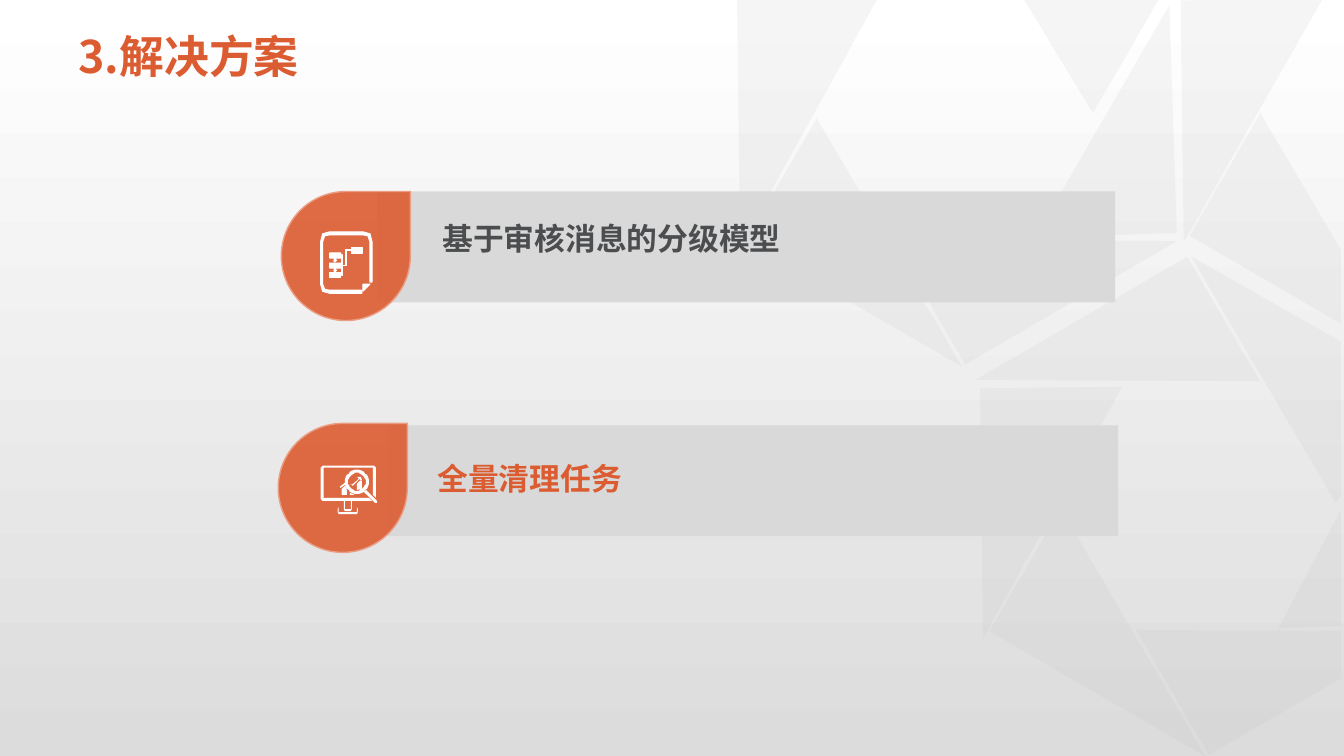
import math

from lxml import etree
from pptx import Presentation
from pptx import util as u
from pptx.dml.color import RGBColor
from pptx.enum import shapes, text
from pptx.oxml.ns import qn

PX = u.Inches(1) // 100
COLORS = {"orange": "DC5C31", "rim": "EA9D83", "ink": "4B4D4F", "bar": "D9D9D9",
          "facet": "BFBFBF", "white": "FFFFFF", "base": "DCDCDC"}
KIND = shapes.MSO_SHAPE

FACET_TRIANGLES = [
    (987, 306, 243, 143, 149.8), (920, 438, 248, 141, 89.3), (1000, 557, 248, 141, 30.1),
    (1123, 49, 240, 141, 89.3), (679, 50, 248, 141, 89.3), (758, 170, 248, 141, 30.1),
    (905, 167, 243, 143, 329.8), (980, 50, 226, 141, 268.1)]
FACET_POLYGONS = [
    [(1127, 625), (1330, 626), (1330, 673), (1199, 749)],
    [(1330, 506), (1330, 621), (1268, 623)],
    [(1181, 254), (1330, 339), (1330, 491), (1325, 499)],
    [(1250, 112), (1330, 248), (1330, 321), (1180, 234)],
    [(1016, 0), (1149, 0), (1084, 112)]]


def circle(x, y, radius, steps=32):
    """Return the points of a circle."""
    turns = [2 * math.pi * step / steps for step in range(steps)]
    return [(x + radius * math.cos(turn), y + radius * math.sin(turn)) for turn in turns]


def flow_box(y):
    """Return a small box with an arrow tip below it."""
    outline = [(9, 0), (20, 0), (20, 5), (15, 5), (15, 7), (16, 7), (14, 9),
               (13, 7), (14, 7), (14, 5), (9, 5)]
    return [(x, y + dy) for x, dy in outline]


DOCUMENT_ICON = [
    [(9, 0), (42, 0), (49, 2), (51, 10), (51, 50), (49, 50), (49, 10), (47, 4), (42, 3),
     (9, 3), (4, 4), (2, 10), (2, 52), (4, 57), (9, 58), (41, 58), (41, 61), (9, 61),
     (2, 59), (0, 52), (0, 10), (2, 2)],
    [(42, 52), (49, 52), (42, 59)],
    flow_box(21), flow_box(31),
    [(9, 40), (20, 40), (20, 45), (9, 45)],
    [(25, 18), (30, 18), (30, 19), (26, 19), (26, 33), (22, 33), (22, 43), (21, 43),
     (21, 23), (22, 23), (22, 33), (25, 33)],
    [(31, 16), (42, 16), (42, 21), (31, 21)]]
MONITOR_ICON = [
    [(2, 0), (53, 0), (55, 2), (55, 32), (52, 29), (52, 2), (3, 2), (3, 32), (48, 32),
     (51, 35), (31, 35), (31, 43), (30, 45), (24, 45), (23, 43), (23, 35), (2, 35),
     (0, 33), (0, 2)],
    [(24, 35), (24, 43), (30, 43), (30, 35)],
    [(18, 41), (18, 46), (36, 46), (36, 41), (37, 43), (37, 46), (36, 48), (18, 48),
     (17, 46), (17, 43)],
    circle(36, 16, 12), circle(36, 16, 9),
    [(45, 24), (56, 35), (56, 37), (54, 37), (43, 26)],
    [(24, 20), (26, 24), (26, 29), (21, 29), (21, 23)],
    [(24, 17), (24, 19), (20, 22), (19, 21)],
    [(29, 27), (34, 29), (29, 29)],
    [(39, 15), (41, 15), (41, 23), (36, 24), (36, 18)],
    [(36, 11), (40, 11), (41, 14), (40, 15), (39, 13), (32, 20), (29, 18), (31, 19), (38, 13)]]


def paint(shape, color, opacity=100, line=None, width=1):
    """Set fill, opacity and outline of a shape."""
    shape.shadow.inherit = False
    shape.fill.solid()
    shape.fill.fore_color.rgb = RGBColor.from_string(COLORS[color])
    if opacity < 100:
        tint = shape._element.spPr.find(qn("a:solidFill"))[0]
        etree.SubElement(tint, qn("a:alpha"), val=str(opacity * 1000))
    if line:
        shape.line.color.rgb = RGBColor.from_string(COLORS[line])
        shape.line.width = u.Pt(width)
    else:
        shape.line.fill.background()


def add_preset(slide, kind, box):
    """Add a preset shape in a px box."""
    return slide.shapes.add_shape(kind, *(value * PX for value in box))


def add_outline(slide, contours, left=0, top=0):
    """Add one freeform made of closed contours."""
    first = contours[0][0]
    builder = slide.shapes.build_freeform(left + first[0], top + first[1], scale=PX)
    for index, contour in enumerate(contours):
        points = [(left + x, top + y) for x, y in contour]
        if index:
            builder.move_to(*points[0])
        builder.add_line_segments(points[1:], close=True)
    return builder.convert_to_shape()


def add_label(slide, box, words, color, size, font, frame_format, spacing=None):
    """Add a bold one-line text."""
    frame = slide.shapes.add_textbox(*(value * PX for value in box)).text_frame
    for name, value in frame_format.items():
        setattr(frame, name, value)
    paragraph = frame.paragraphs[0]
    paragraph.line_spacing = spacing
    run = paragraph.add_run()
    run.text = words
    for name, value in {"size": u.Pt(size), "bold": True, "name": font}.items():
        setattr(run.font, name, value)
    run.font.color.rgb = RGBColor.from_string(COLORS[color])
    etree.SubElement(run._r.get_or_add_rPr(), qn("a:ea"), typeface=font)


def draw_background(slide, box):
    """Draw the grey gradient and its pale facets."""
    left, top = box[:2]
    backdrop = add_preset(slide, KIND.RECTANGLE, box)
    paint(backdrop, "white")
    backdrop.fill.gradient()
    backdrop.fill.gradient_angle = 90
    for stop, color in zip(backdrop.fill.gradient_stops, ("base", "white")):
        stop.color.rgb = RGBColor.from_string(COLORS[color])
    for x, y, width, height, angle in FACET_TRIANGLES:
        facet = add_preset(slide, KIND.RIGHT_TRIANGLE, (left + x, top + y, width, height))
        facet.rotation = angle
        paint(facet, "facet", 14)
    for polygon in FACET_POLYGONS:
        paint(add_outline(slide, [polygon], left, top), "facet", 14)


def draw_title(slide, box, words):
    """Write the slide title."""
    add_label(slide, box, words, "orange", 32, "Noto Sans CJK SC",
              {"word_wrap": True, "vertical_anchor": text.MSO_ANCHOR.MIDDLE}, 0.9)


def draw_solution(slide, box, words, color, bar_at, icon_at, label_box, icon, icon_line):
    """Draw one solution: grey bar, teardrop, icon and label."""
    left, top, width, drop = box
    bar_x, bar_y = bar_at
    bar = add_preset(slide, KIND.RECTANGLE, (left + bar_x, top + bar_y, width - bar_x, 110))
    paint(bar, "bar")
    paint(add_preset(slide, KIND.TEAR, (left, top, drop, drop)), "orange", 90, "rim")
    symbol = add_outline(slide, icon, left + icon_at[0], top + icon_at[1])
    paint(symbol, "white", line=icon_line, width=0.75)
    x, y, label_width, label_height = label_box
    add_label(slide, (left + x, top + y, label_width, label_height), words, color, 22, "Arial",
              {"word_wrap": False, "auto_size": text.MSO_AUTO_SIZE.SHAPE_TO_FIT_TEXT})


def main():
    """Build and save the slide."""
    presentation = Presentation()
    presentation.slide_width, presentation.slide_height = 1333 * PX, 750 * PX
    slide = presentation.slides.add_slide(presentation.slide_layouts[6])
    draw_background(slide, (0, 0, 1333, 750))
    draw_title(slide, (68, 15, 1198, 87), "3.解决方案")
    draw_solution(slide, (279, 190, 827, 128), "基于审核消息的分级模型", "ink",
                  (95, 0), (39, 40), (150, 23, 360, 47), DOCUMENT_ICON, "white")
    draw_solution(slide, (276, 420, 833, 128), "全量清理任务", "orange",
                  (109, 2), (42, 42), (148, 31, 205, 47), MONITOR_ICON, None)
    presentation.save("out.pptx")


if __name__ == "__main__":
    main()
